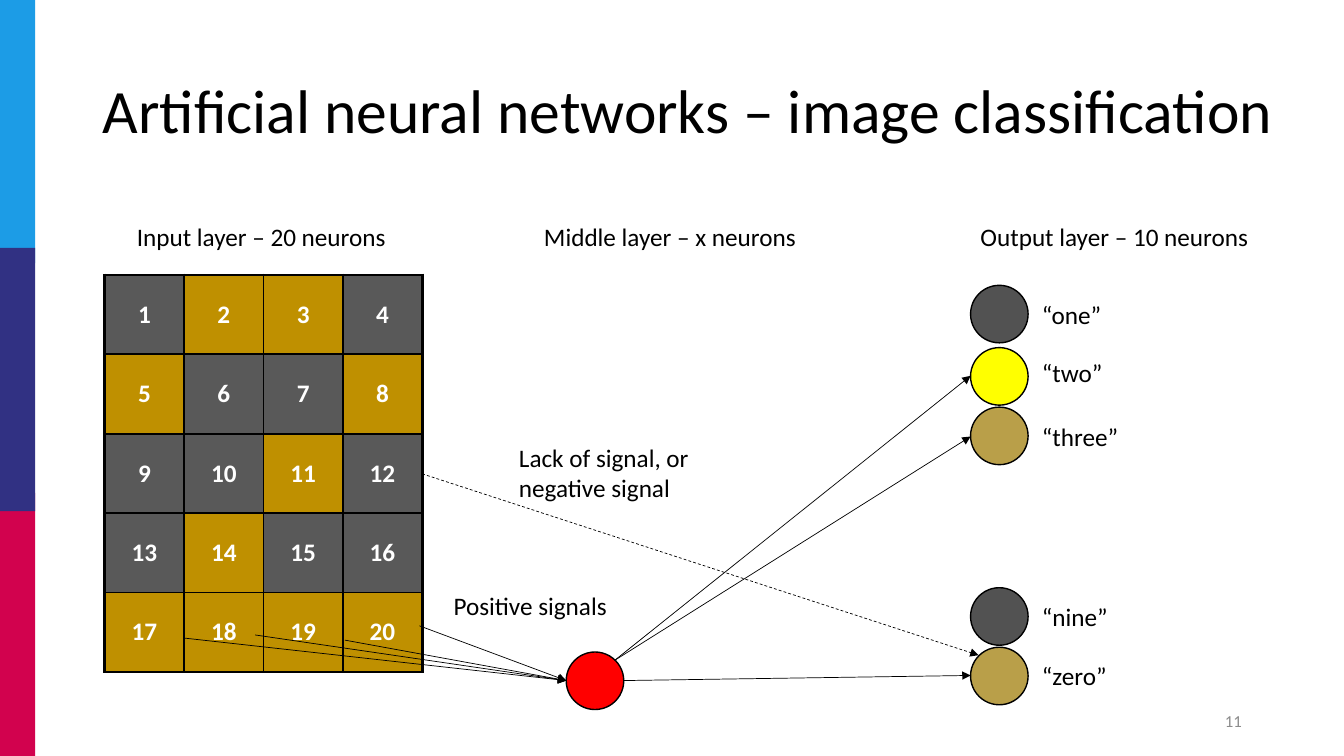
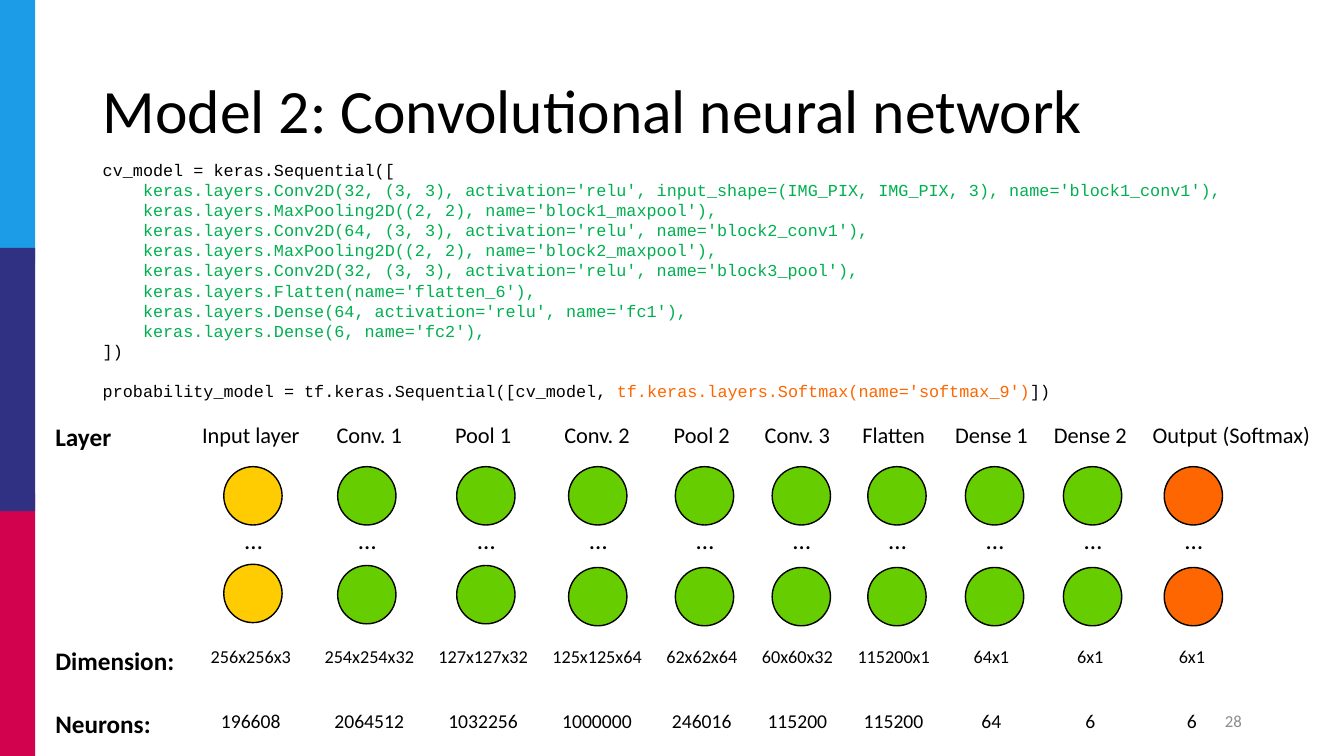
"""Build two slides on neural networks: an image classifier and a convolutional model."""
from lxml.etree import SubElement
from pptx import Presentation
from pptx.dml.color import RGBColor
from pptx.enum.dml import MSO_LINE
from pptx.enum.shapes import MSO_CONNECTOR, MSO_SHAPE
from pptx.enum.text import MSO_ANCHOR, PP_ALIGN
from pptx.oxml.ns import qn
from pptx.util import Cm, Pt

COLORS = {
    "black": "000000", "white": "FFFFFF", "number": "8C8C8C",
    "sky": "1C9CE6", "crimson": "D2024E", "navy": "313183",
    "off": "595959", "on": "BF9000",
    "idle": "525252", "yellow": "FFFF00", "weak": "B99F49", "red": "FF0000",
    "input": "FECC00", "hidden": "66CD00", "output": "FD6600", "code": "00B050",
}
RGB = {name: RGBColor.from_string(value) for name, value in COLORS.items()}
BODY = {"name": "Calibri", "size": Pt(18), "bold": False}
BANDS = [("sky", 0), ("crimson", 12.42), ("navy", 6.25)]


def write(tf, text, color="black", align=PP_ALIGN.LEFT, **fmt):
    tf.word_wrap = True
    p = tf.paragraphs[-1]
    p.alignment = align
    r = p.add_run()
    r.text = text
    for key, value in {**BODY, **fmt}.items():
        setattr(r.font, key, value)
    r.font.color.rgb = RGB[color]
    return p


def add_shape(s, kind, x, y, w, h, fill, outline=True):
    sp = s.shapes.add_shape(kind, Cm(x), Cm(y), Cm(w), Cm(h))
    sp.shadow.inherit = False
    sp.fill.solid()
    sp.fill.fore_color.rgb = RGB[fill]
    if outline:
        sp.line.color.rgb = RGB["black"]
        sp.line.width = Pt(1)
    else:
        sp.line.fill.background()


prs = Presentation()
prs.slide_width, prs.slide_height = Cm(33.87), Cm(19.05)

for title, number in [
    ("Artificial neural networks – image classification", "11"),
    ("Model 2: Convolutional neural network", "28"),
]:
    s = prs.slides.add_slide(prs.slide_layouts[6])
    for color, y in BANDS:
        add_shape(s, MSO_SHAPE.RECTANGLE, 0, y, 0.89, 6.63, color, outline=False)
    tf = s.shapes.add_textbox(Cm(2.34), Cm(1.02), Cm(30.45), Cm(3.68)).text_frame
    tf.vertical_anchor = MSO_ANCHOR.MIDDLE
    write(tf, title, size=Pt(44)).line_spacing = 0.9
    tf = s.shapes.add_textbox(Cm(23.93), Cm(17.65), Cm(7.62), Cm(1.02)).text_frame
    tf.vertical_anchor = MSO_ANCHOR.MIDDLE
    write(tf, number, "number", PP_ALIGN.RIGHT, size=Pt(12))

s = prs.slides[0]
ROWS, COLS, PIXEL = 5, 4, 2
LIT = {2, 3, 5, 8, 11, 14, 17, 18, 19, 20}
table = s.shapes.add_table(ROWS, COLS, Cm(2.64), Cm(6.93), Cm(COLS * PIXEL), Cm(ROWS * PIXEL)).table
table.first_row = table.horz_banding = False
for i in range(ROWS * COLS):
    row, col = divmod(i, COLS)
    cell = table.cell(row, col)
    cell.vertical_anchor = MSO_ANCHOR.MIDDLE
    outer = {"lnL": col == 0, "lnR": col == COLS - 1, "lnT": row == 0, "lnB": row == ROWS - 1}
    for tag, edge in outer.items():
        ln = SubElement(cell._tc.get_or_add_tcPr(), qn("a:" + tag), w=str(Pt(2.25 if edge else 1.5)))
        SubElement(SubElement(ln, qn("a:solidFill")), qn("a:srgbClr"), val=COLORS["black"])
    cell.fill.solid()
    cell.fill.fore_color.rgb = RGB["on" if i + 1 in LIT else "off"]
    write(cell.text_frame, str(i + 1), "white", PP_ALIGN.CENTER, bold=True)

NEURON = 1.45
OUT_X = 24.46
outputs = [
    ("“one”", "idle", 7.19, 7.42), ("“two”", "yellow", 8.76, 8.89),
    ("“three”", "weak", 10.26, 10.49), ("“nine”", "idle", 14.81, 15.04),
    ("“zero”", "weak", 16.31, 16.51),
]
labels = [
    ("Input layer – 20 neurons", 3.2, 5.44, 8),
    ("Middle layer – x neurons", 13.46, 5.44, 8),
    ("Output layer – 10 neurons", 24.46, 5.44, 8),
    ("Positive signals", 11.18, 14.76, 5),
    ("Lack of signal, or negative signal", 12.83, 11.02, 5.23),
]
for label, color, y, label_y in outputs:
    add_shape(s, MSO_SHAPE.OVAL, OUT_X, y, NEURON, NEURON, color)
    labels.append((label, 26.01, label_y, 4))
add_shape(s, MSO_SHAPE.OVAL, 14.27, 16.43, NEURON, NEURON, "red")
for label, x, y, w in labels:
    write(s.shapes.add_textbox(Cm(x), Cm(y), Cm(w), Cm(1.02)).text_frame, label)

middle_in, middle_out = (14.27, 17.15), (15.49, 16.64)
signals = [(start, middle_in, False) for start in
           [(8.69, 16.13), (10.57, 15.77), (6.43, 16), (4.65, 16.08)]]
signals += [
    ((15.72, 17.15), (OUT_X, 17.02), False),
    (middle_out, (OUT_X, 9.47), False),
    (middle_out, (OUT_X, 11), False),
    ((10.64, 11.94), (24.66, 16.51), True),
]
for start, end, dashed in signals:
    c = s.shapes.add_connector(MSO_CONNECTOR.STRAIGHT, *map(Cm, start + end))
    c.line.color.rgb = RGB["black"]
    c.line.width = Pt(0.5)
    if dashed:
        c.line.dash_style = MSO_LINE.DASH
    spPr = c._element.spPr
    SubElement(spPr.find(qn("a:ln")), qn("a:tailEnd"), type="triangle")
    SubElement(spPr, qn("a:effectLst"))

s = prs.slides[1]
code = [
    [("cv_model = keras.Sequential([", "black")],
    *[[("    keras.layers." + layer + ",", "code")] for layer in [
        "Conv2D(32, (3, 3), activation='relu', input_shape=(IMG_PIX, IMG_PIX, 3), name='block1_conv1')",
        "MaxPooling2D((2, 2), name='block1_maxpool')",
        "Conv2D(64, (3, 3), activation='relu', name='block2_conv1')",
        "MaxPooling2D((2, 2), name='block2_maxpool')",
        "Conv2D(32, (3, 3), activation='relu', name='block3_pool')",
        "Flatten(name='flatten_6')",
        "Dense(64, activation='relu', name='fc1')",
        "Dense(6, name='fc2')",
    ]],
    [("])", "black")],
    [("probability_model = tf.keras.Sequential([cv_model, ", "black"),
      ("tf.keras.layers.Softmax(name='softmax_9')", "output"), ("])", "black")],
]
tf = s.shapes.add_textbox(Cm(2.34), Cm(3.89), Cm(31.01), Cm(7.92)).text_frame
for i, runs in enumerate(code):
    if i:
        tf.add_paragraph()
    for text, color in runs:
        p = write(tf, text, color, name="Courier New", size=Pt(12))
    p.line_spacing = Pt(14.4)
p.space_before = Pt(14.4)

layers = [
    ("Input layer", "256x256x3", "196608", 3.1, 5.64, 14.22, "input"),
    ("Conv. 1", "254x254x32", "2064512", 2.87, 8.51, 14.25, "hidden"),
    ("Pool 1", "127x127x32", "1032256", 2.87, 11.51, 14.25, "hidden"),
    ("Conv. 2", "125x125x64", "1000000", 2.87, 14.33, 14.3, "hidden"),
    ("Pool 2", "62x62x64", "246016", 2.41, 17.02, 14.3, "hidden"),
    ("Conv. 3", "60x60x32", "115200", 2.41, 19.46, 14.3, "hidden"),
    ("Flatten", "115200x1", "115200", 2.44, 21.87, 14.3, "hidden"),
    ("Dense 1", "64x1", "64", 2.49, 24.33, 14.3, "hidden"),
    ("Dense 2", "6x1", "6", 2.49, 26.8, 14.3, "hidden"),
    ("Output (Softmax)", "6x1", "6", 4.62, 29.34, 14.3, "output"),
]
heads = ("Layer", "Dimension:", "Neurons:", 3.63)
sizes = [16, 13, 14]
table = s.shapes.add_table(3, len(layers) + 1, Cm(1.14), Cm(10.52), Cm(32.23), Cm(8.26)).table
table.first_row = table.horz_banding = False
for row, h in zip(table.rows, [5.64, 1.6, 1.02]):
    row.height = Cm(h)
for j, column in enumerate([heads] + layers):
    table.columns[j].width = Cm(column[3])
    for i, size in enumerate(sizes):
        cell = table.cell(i, j)
        cell.fill.background()
        if j == len(layers) and i:
            cell.margin_right = Cm(2.24)
        if j:
            write(cell.text_frame, column[i], align=PP_ALIGN.CENTER, size=Pt(size))
        else:
            write(cell.text_frame, column[i], bold=True)

for *_, x, low_y, color in layers:
    for y in (11.76, low_y):
        add_shape(s, MSO_SHAPE.OVAL, x, y, 1.47, 1.47, color)
    write(s.shapes.add_textbox(Cm(x + 0.28), Cm(13.08), Cm(1.12), Cm(1.02)).text_frame, "…")

prs.save("out.pptx")
